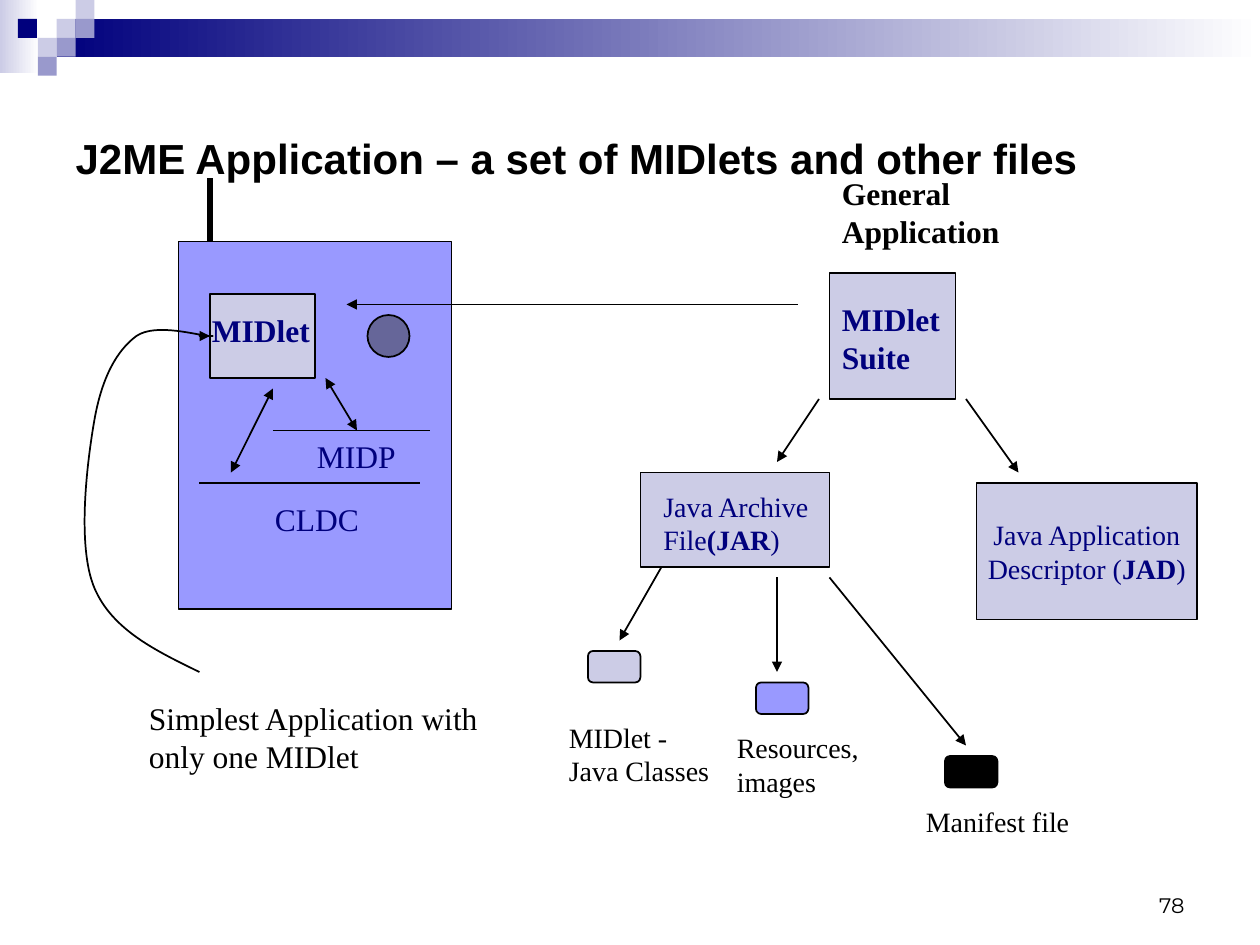
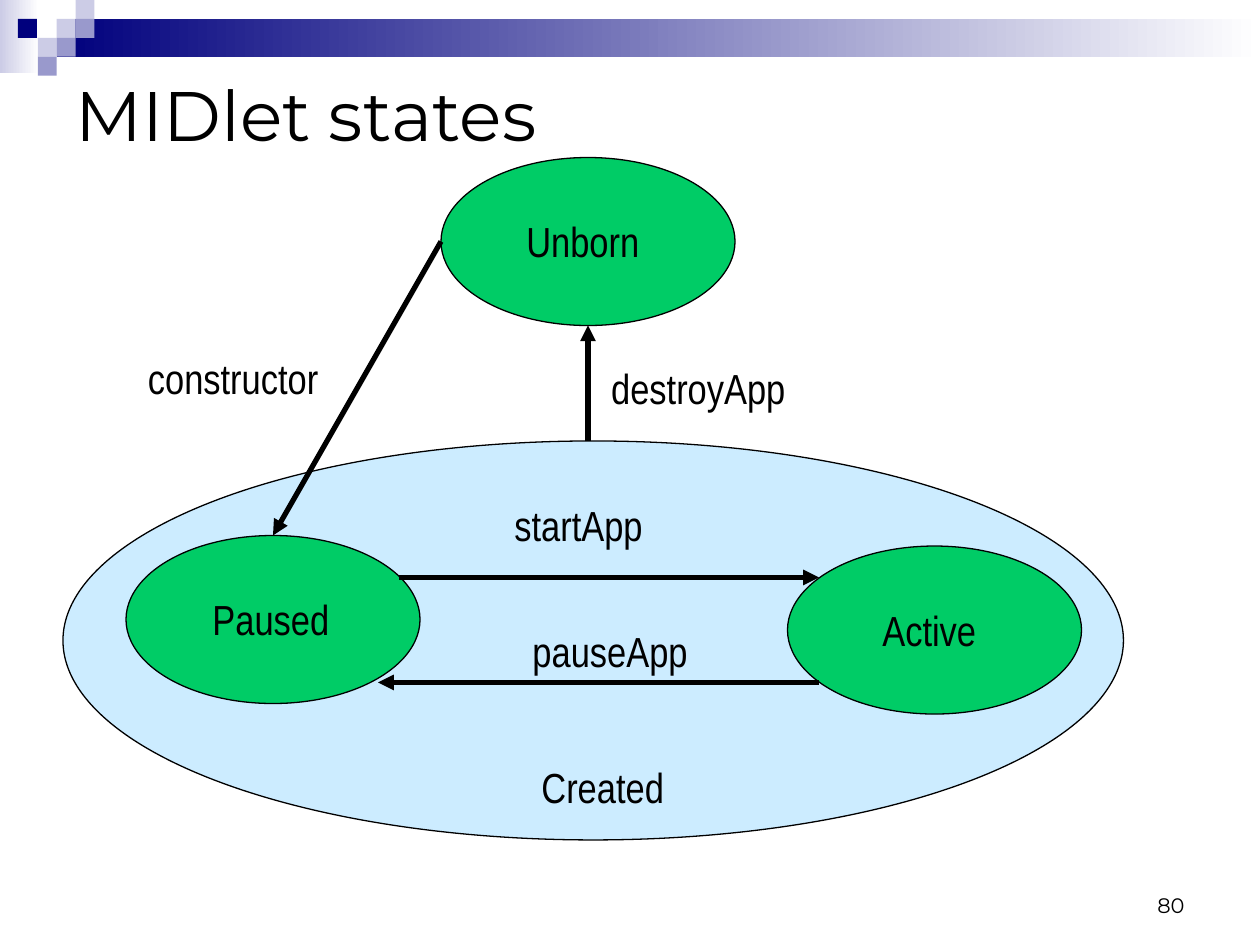
"""Build two slides on the parts of a J2ME application and the MIDlet states."""
from lxml.etree import SubElement
from pptx import Presentation
from pptx.dml.color import RGBColor
from pptx.enum.shapes import MSO_CONNECTOR, MSO_SHAPE
from pptx.enum.text import MSO_ANCHOR, MSO_AUTO_SIZE, PP_ALIGN
from pptx.oxml.ns import qn
from pptx.util import Inches, Pt

RECTANGLE, OVAL = MSO_SHAPE.RECTANGLE, MSO_SHAPE.OVAL
CARD = MSO_SHAPE.FLOWCHART_ALTERNATE_PROCESS
STRAIGHT = MSO_CONNECTOR.STRAIGHT
LEFT, CENTER, RIGHT = PP_ALIGN.LEFT, PP_ALIGN.CENTER, PP_ALIGN.RIGHT
TOP, MIDDLE, BOTTOM = MSO_ANCHOR.TOP, MSO_ANCHOR.MIDDLE, MSO_ANCHOR.BOTTOM
FIT, FIXED = MSO_AUTO_SIZE.SHAPE_TO_FIT_TEXT, MSO_AUTO_SIZE.NONE

BLACK = RGBColor(0x00, 0x00, 0x00)
WHITE = RGBColor(0xFF, 0xFF, 0xFF)
NAVY = RGBColor(0x00, 0x00, 0x7D)
LAVENDER = RGBColor(0xCC, 0xCC, 0xE6)
MAUVE = RGBColor(0x99, 0x99, 0xCC)
PERIWINKLE = RGBColor(0x99, 0x99, 0xFF)
SLATE = RGBColor(0x66, 0x66, 0x99)
GREEN = RGBColor(0x00, 0xCC, 0x66)
SKY = RGBColor(0xCC, 0xEC, 0xFF)

CELL = 1 / 12
TILE = 0.15
TILES = [(3, 1, LAVENDER), (4, 0, LAVENDER), (4, 1, MAUVE), (2, 2, LAVENDER),
         (0.95, 1, NAVY), (3, 2, MAUVE), (2, 3, MAUVE)]
BANDS = [((0, 0, 0.31, 0.58), LAVENDER), ((0.45, 0.15, 9.55, 0.3), NAVY)]

SERIF = "Times New Roman"
TEXT_STYLES = {
    "part": {"name": SERIF, "size": Pt(18), "color": NAVY},
    "part bold": {"name": SERIF, "size": Pt(18), "color": NAVY, "bold": True},
    "heading": {"name": SERIF, "size": Pt(18), "color": BLACK, "bold": True},
    "caption": {"name": SERIF, "size": Pt(18), "color": BLACK},
    "file": {"name": SERIF, "size": Pt(16), "color": NAVY},
    "file caption": {"name": SERIF, "size": Pt(16), "color": BLACK},
    "state": {"name": "Arial Narrow", "size": Pt(24), "color": BLACK},
    "number": {"name": "Montserrat", "size": Pt(12), "color": BLACK},
    "bold title": {"name": "Arial", "size": Pt(24), "color": BLACK, "bold": True},
    "title": {"name": "Montserrat", "size": Pt(40), "color": BLACK},
}

APPLICATION = {
    "title": "J2ME Application – a set of MIDlets and other files",
    "title style": "bold title", "title rows": 18, "number": "78",
    "outline": 1, "align": LEFT,
    "shapes": [
        (RECTANGLE, PERIWINKLE, (17, 23, 26, 35)),
        (OVAL, SLATE, (35, 30, 4, 4)),
        (RECTANGLE, LAVENDER, (20, 28, 10, 8)),
        (RECTANGLE, LAVENDER, (79, 26, 12, 12)),
        (RECTANGLE, LAVENDER, (61, 45, 18, 9)),
        (RECTANGLE, LAVENDER, (93, 46, 21, 13)),
        (CARD, LAVENDER, (56, 62, 5, 3)),
        (CARD, PERIWINKLE, (72, 65, 5, 3)),
        (CARD, BLACK, (90, 72, 5, 3)),
    ],
    "labels": [
        ("MIDlet", "part bold", (19, 29, 12, 4.8), False),
        ("CLDC", "part", (25, 47, 10.8, 4.8), False),
        ("MIDP", "part", (29, 41, 10.4, 4.8), False),
        ("Simplest Application with only one MIDlet", "caption",
         (13, 66, 37, 8.4), True),
        ("General\nApplication", "heading", (79, 16, 17.6, 8.4), False),
        ("MIDlet Suite", "part bold", (79, 28, 12, 8.4), True),
        ("Java Archive File**(JAR**)", "file", (62, 46, 17, 7.7), True),
        ("MIDlet - Java Classes", "file caption", (53, 68, 17, 7.7), True),
        ("Resources, images", "file caption", (69, 69, 17, 7.7), True),
        ("Manifest file", "file caption", (87, 76, 17, 4.4), True),
    ],
    "lines": [
        ((20, 17), (20, 23), 3, ""),
        ((26, 41), (41, 41), 1, ""),
        ((19, 46), (40, 46), 1, ""),
        ((26, 37), (22, 45), 1, "head tail"),
        ((31, 36), (34, 41), 1, "head tail"),
        ((33, 29), (76, 29), 1, "head"),
        ((78, 38), (74, 44), 1, "tail"),
        ((92, 38), (97, 45), 1, "tail"),
        ((63, 54), (59, 61), 1, "tail"),
        ((74, 55), (74, 64), 1, "tail"),
        ((79, 55), (92, 71), 1, "tail"),
    ],
}
DESCRIPTOR_LABEL = "Java Application\nDescriptor (**JAD**)"
DESCRIPTOR_INDEX = 5
MIDLET_CURVE = [
    (19, 64),
    (14.9, 62), (10.7, 60), (9, 56),
    (7.3, 52), (8.3, 44), (9, 40),
    (9.7, 36), (11.1, 33.4), (13, 32),
    (14.9, 30.7), (19, 32), (20, 32),
    (21, 32), (19, 32), (19, 32),
    (19, 32), (19.4, 32), (20, 32),
]

STATES = {
    "title": "MIDlet states",
    "title style": "title", "title rows": 9.7, "number": "80",
    "outline": 0.75, "align": CENTER,
    "shapes": [
        (OVAL, GREEN, (42, 15, 28, 16)),
        (OVAL, SKY, (6, 42, 101, 38)),
        (OVAL, GREEN, (12, 51, 28, 16)),
        (OVAL, GREEN, (75, 52, 28, 16)),
    ],
    "labels": [
        (text, "state", (center - 10, top, 20, 6), False)
        for text, center, top in [
            ("Unborn", 55.5, 19.9), ("Active", 88.5, 57),
            ("Paused", 25.8, 55.9), ("Created", 57.4, 71.9),
            ("constructor", 22.2, 33), ("destroyApp", 66.5, 33.9),
            ("startApp", 55.1, 47), ("pauseApp", 58.1, 59)]
    ],
    "lines": [
        ((42, 23), (26, 51), 3, "tail"),
        ((56, 42), (56, 31), 3, "tail"),
        ((38, 55), (78, 55), 3, "tail"),
        ((78, 65), (36, 65), 3, "tail"),
    ],
}


def cells(values):
    """Turn grid cells into lengths."""
    return [Inches(value * CELL) for value in values]


def write(shape, text, style, align=LEFT, anchor=TOP, wrap=True, auto_size=FIXED):
    """Write lines of text; a double asterisk switches bold."""
    frame = shape.text_frame
    frame.word_wrap, frame.auto_size, frame.vertical_anchor = wrap, auto_size, anchor
    for index, line in enumerate(text.split("\n")):
        paragraph = frame.add_paragraph() if index else frame.paragraphs[0]
        paragraph.alignment = align
        for part, words in enumerate(line.split("**")):
            run = paragraph.add_run()
            run.text = words
            for key, value in TEXT_STYLES[style].items():
                if key == "color":
                    run.font.color.rgb = value
                else:
                    setattr(run.font, key, value)
            if part % 2:
                run.font.bold = True


def add_block(slide, kind, box, color, outline=0):
    """Add a filled shape, with a black outline if a width is given."""
    shape = slide.shapes.add_shape(kind, *box)
    shape.shadow.inherit = False
    shape.fill.solid()
    shape.fill.fore_color.rgb = color
    if outline:
        shape.line.color.rgb = BLACK
        shape.line.width = Pt(outline)
    else:
        shape.line.fill.background()
    return shape


def style_line(shape, width, arrows):
    """Give a line its colour, width and arrowheads."""
    shape.line.color.rgb = BLACK
    shape.line.width = Pt(width)
    line = shape.element.spPr.find(qn("a:ln"))
    for end in arrows.split():
        SubElement(line, qn(f"a:{end}End"), type="triangle")


def add_line(slide, start, end, width, arrows):
    """Add a straight line between two grid points."""
    connector = slide.shapes.add_connector(STRAIGHT, *cells(start + end))
    style_line(connector, width, arrows)
    SubElement(connector.element.spPr, qn("a:effectLst"))


def add_curve(slide, points):
    """Add an open curve through groups of three Bezier points."""
    start, *others = [cells(point) for point in points]
    builder = slide.shapes.build_freeform(*start)
    builder.add_line_segments(others, close=False)
    curve = builder.convert_to_shape()
    curve.shadow.inherit = False
    curve.fill.background()
    outline = curve.element.find(".//" + qn("a:path"))
    segments = outline.findall(qn("a:lnTo"))
    for first in range(0, len(segments), 3):
        bezier = SubElement(outline, qn("a:cubicBezTo"))
        for segment in segments[first:first + 3]:
            bezier.append(segment[0])
            outline.remove(segment)
    style_line(curve, 1, "tail")


def decorate(layout, slide):
    """Draw the bands and tiles and hand them to the layout."""
    blocks = []
    for box, color in BANDS:
        band = add_block(slide, RECTANGLE, [Inches(value) for value in box], color)
        band.fill.gradient()
        band.fill.gradient_angle = 0
        for stop, shade in zip(band.fill.gradient_stops, (color, WHITE)):
            stop.color.rgb = shade
        blocks.append(band)
    for column, row, color in TILES:
        box = [Inches(value * TILE) for value in (column, row, 1, 1)]
        blocks.append(add_block(slide, RECTANGLE, box, color))
    for block in blocks:
        layout.shapes.element.append(block.element)


def add_slide(presentation, layout, content):
    """Add a slide with its title, shapes, labels, lines and number."""
    slide = presentation.slides.add_slide(layout)
    title = slide.shapes.title
    title.left, title.top, title.width, title.height = cells(
        (6, 6, 108, content["title rows"]))
    write(title, content["title"], content["title style"], anchor=MIDDLE)
    blocks = [add_block(slide, kind, cells(box), color, content["outline"])
              for kind, color, box in content["shapes"]]
    for text, style, box, wrap in content["labels"]:
        write(slide.shapes.add_textbox(*cells(box)), text, style,
              content["align"], wrap=wrap, auto_size=FIT)
    for line in content["lines"]:
        add_line(slide, *line)
    number = slide.shapes.add_textbox(*cells((86, 82, 28, 6)))
    write(number, content["number"], "number", RIGHT, BOTTOM)
    return slide, blocks


def main():
    """Build and save the presentation."""
    presentation = Presentation()
    presentation.slide_width, presentation.slide_height = Inches(10), Inches(7.5)
    layout = presentation.slide_layouts[5]
    slide, blocks = add_slide(presentation, layout, APPLICATION)
    write(blocks[DESCRIPTOR_INDEX], DESCRIPTOR_LABEL, "file", CENTER, MIDDLE, wrap=False)
    add_curve(slide, MIDLET_CURVE)
    decorate(layout, slide)
    add_slide(presentation, layout, STATES)
    presentation.save("out.pptx")


if __name__ == "__main__":
    main()
